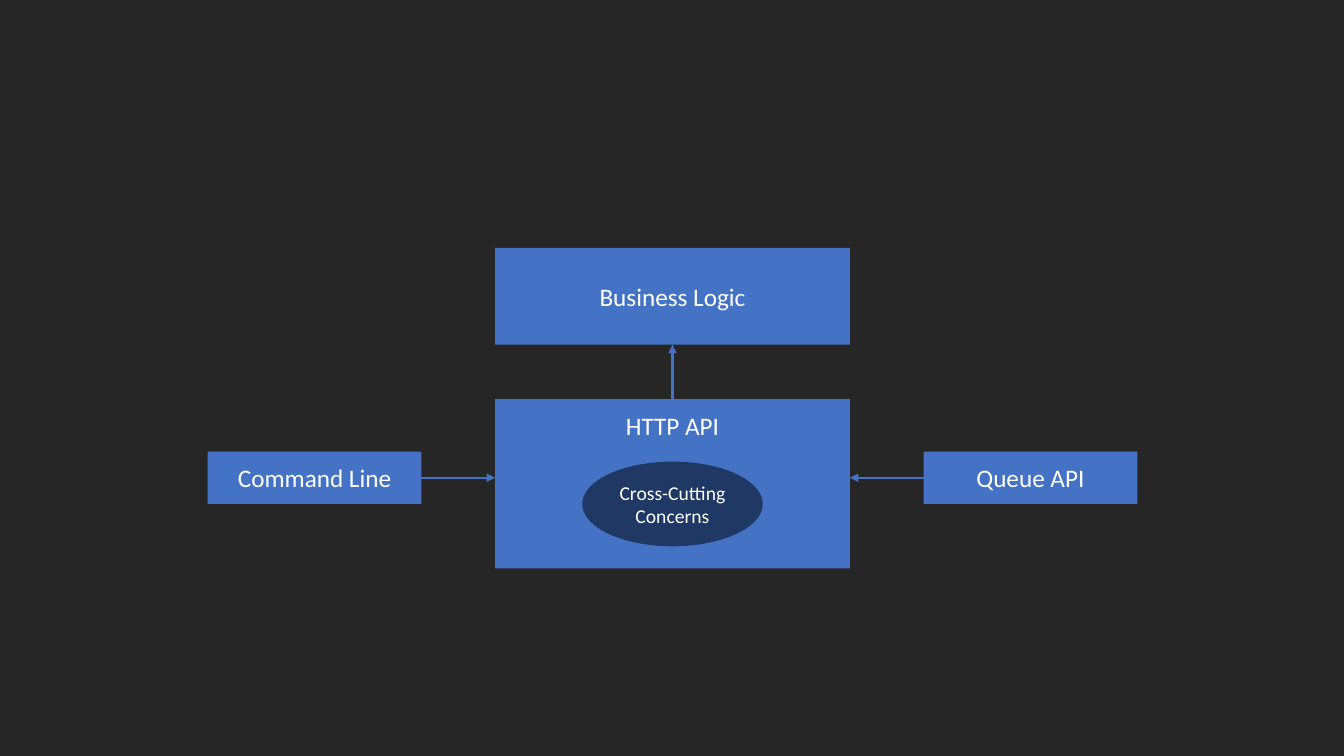
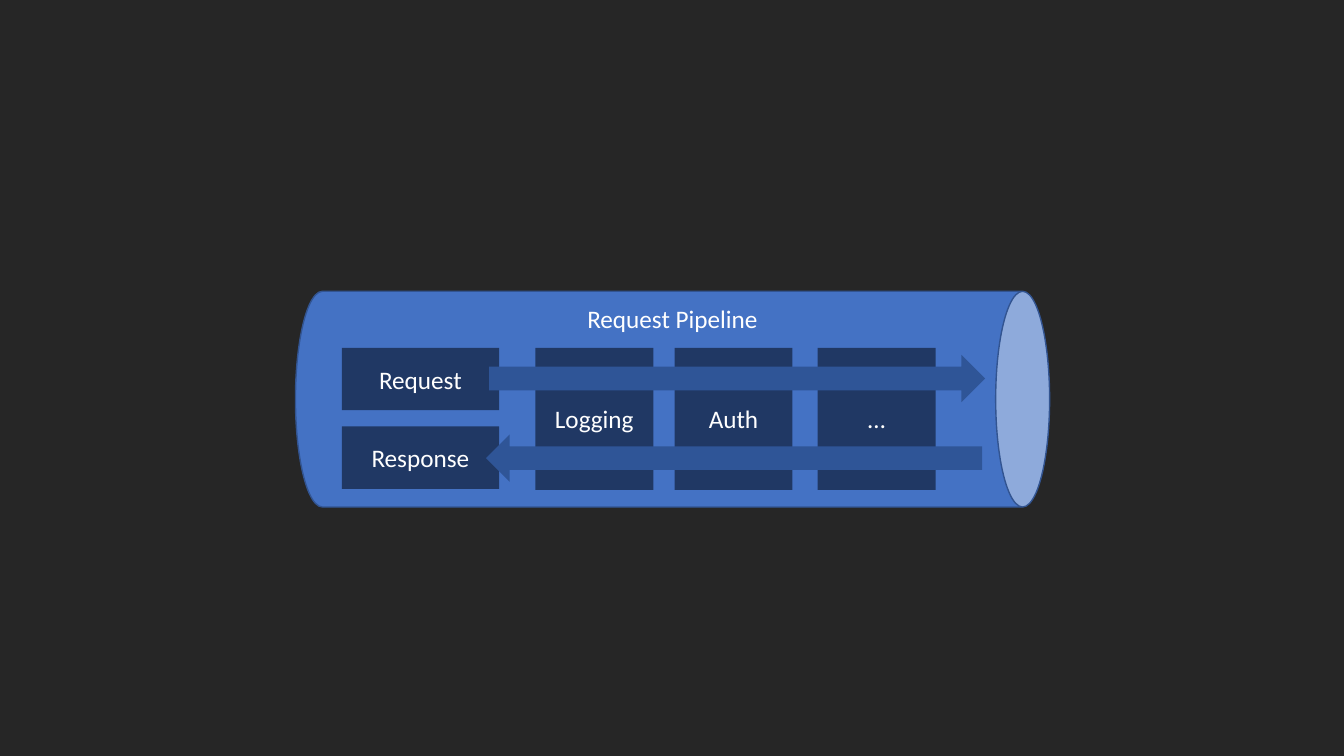
"""Builds two dark architecture slides: API entry points and the request pipeline."""
from lxml import etree
from pptx import Presentation
from pptx.dml.color import RGBColor
from pptx.enum.shapes import MSO_CONNECTOR, MSO_SHAPE
from pptx.enum.text import MSO_ANCHOR, MSO_AUTO_SIZE, PP_ALIGN
from pptx.oxml.ns import qn
from pptx.util import Inches, Pt

RECTANGLE = MSO_SHAPE.RECTANGLE
OVAL = MSO_SHAPE.OVAL
CAN = MSO_SHAPE.CAN
RIGHT_ARROW = MSO_SHAPE.RIGHT_ARROW
STRAIGHT = MSO_CONNECTOR.STRAIGHT
MIDDLE = MSO_ANCHOR.MIDDLE
CENTER = PP_ALIGN.CENTER
GROW = MSO_AUTO_SIZE.SHAPE_TO_FIT_TEXT
TOP_SIDE, LEFT_SIDE, BOTTOM_SIDE, RIGHT_SIDE = range(4)

BACKGROUND = RGBColor(0x26, 0x26, 0x26)
BLUE = RGBColor(0x44, 0x72, 0xC4)
NAVY = RGBColor(0x20, 0x38, 0x64)
ARROW_BLUE = RGBColor(0x2F, 0x55, 0x97)
OUTLINE_BLUE = RGBColor(0x32, 0x54, 0x91)
WHITE = RGBColor(0xFF, 0xFF, 0xFF)
FONT = "Calibri"

CENTER_X = 6.67
BLOCK_WIDTH = 3.52
API_TOP = 3.96
LABEL_SIZE = (2.12, 0.52)
ENTRY_TOP = 4.48
ENTRY_OFFSET = 3.55
ENTRY_POINTS = [("Queue API", 1, LEFT_SIDE), ("Command Line", -1, RIGHT_SIDE)]

STAGE_TOP, STAGE_HEIGHT = 3.45, 1.41
MESSAGE_LEFT, MESSAGE_PITCH = 3.39, 0.78
MESSAGES = ["Request", "Response"]
STAGES = [("Logging", 5.31), ("Auth", 6.69), ("…", 8.11)]
FLOW_ARROWS = [(4.85, 3.52, 0), (4.82, 4.31, 180)]


def write(shape, text, size=18):
    """Fill a shape with centred white text, one run per line."""
    paragraph = shape.text_frame.paragraphs[0]
    paragraph.alignment = CENTER
    for index, line in enumerate(text.split("\n")):
        if index:
            paragraph.add_line_break()
        run = paragraph.add_run()
        run.text = line
        run.font.name = FONT
        run.font.size = Pt(size)
        run.font.color.rgb = WHITE


def add_block(slide, kind, left, top, width, height, color, text="", size=18):
    """Add a flat preset shape without an outline."""
    shape = slide.shapes.add_shape(
        kind, Inches(left), Inches(top), Inches(width), Inches(height))
    shape.shadow.inherit = False
    shape.fill.solid()
    shape.fill.fore_color.rgb = color
    shape.line.fill.background()
    shape.text_frame.vertical_anchor = MIDDLE
    if text:
        write(shape, text, size)
    return shape


def add_centered(slide, kind, center, top, width, height, color, text="", size=18):
    """Add a block centred on a horizontal position."""
    return add_block(slide, kind, center - width / 2, top, width, height,
                     color, text, size)


def add_arrow(slide, source, side, end_x, end_y):
    """Add an arrow joined to one side of the source block."""
    connector = slide.shapes.add_connector(STRAIGHT, 0, 0, end_x, end_y)
    connector.begin_connect(source, side)
    connector.line.color.rgb = BLUE
    connector.line.width = Pt(1.5)
    line = connector.line._get_or_add_ln()
    etree.SubElement(line, qn("a:tailEnd"), type="triangle")
    etree.SubElement(connector._element.spPr, qn("a:effectLst"))
    return connector


def build_entry_points(slide):
    """Draw the ways into the business logic."""
    api = add_centered(slide, RECTANGLE, CENTER_X, API_TOP, BLOCK_WIDTH, 1.68, BLUE)
    logic = add_centered(slide, RECTANGLE, CENTER_X, 2.46, BLOCK_WIDTH, 0.96,
                         BLUE, "Business Logic")
    label = add_centered(slide, RECTANGLE, CENTER_X, API_TOP, *LABEL_SIZE,
                         BLUE, "HTTP API")
    upward = add_arrow(slide, label, TOP_SIDE, Inches(CENTER_X), logic.top + logic.height)
    upward.end_connect(logic, BOTTOM_SIDE)
    concerns = add_centered(slide, OVAL, CENTER_X, 4.58, 1.79, 0.84,
                            NAVY, "Cross-Cutting\nConcerns", 14)
    concerns.text_frame.word_wrap = False
    for text, direction, side in ENTRY_POINTS:
        entry = add_centered(slide, RECTANGLE, CENTER_X + direction * ENTRY_OFFSET,
                             ENTRY_TOP, *LABEL_SIZE, BLUE, text)
        api_edge = api.left + (api.width if direction > 0 else 0)
        add_arrow(slide, entry, side, api_edge, entry.top + entry.height // 2)


def build_pipeline(slide):
    """Draw the request pipeline with its stages and flow."""
    pipe = add_block(slide, CAN, 5.6, 0.22, 2.14, 7.48, BLUE)
    pipe.rotation = 90
    pipe.line.color.rgb = OUTLINE_BLUE
    pipe.line.width = Pt(1)
    title = slide.shapes.add_textbox(Inches(5.31), Inches(2.96), Inches(2.72), Inches(0.4))
    title.text_frame.word_wrap = True
    title.text_frame.auto_size = GROW
    write(title, "Request Pipeline")
    for index, text in enumerate(MESSAGES):
        add_block(slide, RECTANGLE, MESSAGE_LEFT, STAGE_TOP + index * MESSAGE_PITCH,
                  1.56, 0.62, NAVY, text)
    for text, left in STAGES:
        add_block(slide, RECTANGLE, left, STAGE_TOP, 1.17, STAGE_HEIGHT, NAVY, text)
    for left, top, rotation in FLOW_ARROWS:
        arrow = add_block(slide, RIGHT_ARROW, left, top, 4.92, 0.47, ARROW_BLUE)
        arrow.rotation = rotation


def main():
    """Build and save the presentation."""
    presentation = Presentation()
    presentation.slide_width = Inches(13.33)
    presentation.slide_height = Inches(7.5)
    background = presentation.slide_master.background.fill
    background.solid()
    background.fore_color.rgb = BACKGROUND
    for build in (build_entry_points, build_pipeline):
        build(presentation.slides.add_slide(presentation.slide_layouts[6]))
    presentation.save("out.pptx")


if __name__ == "__main__":
    main()
